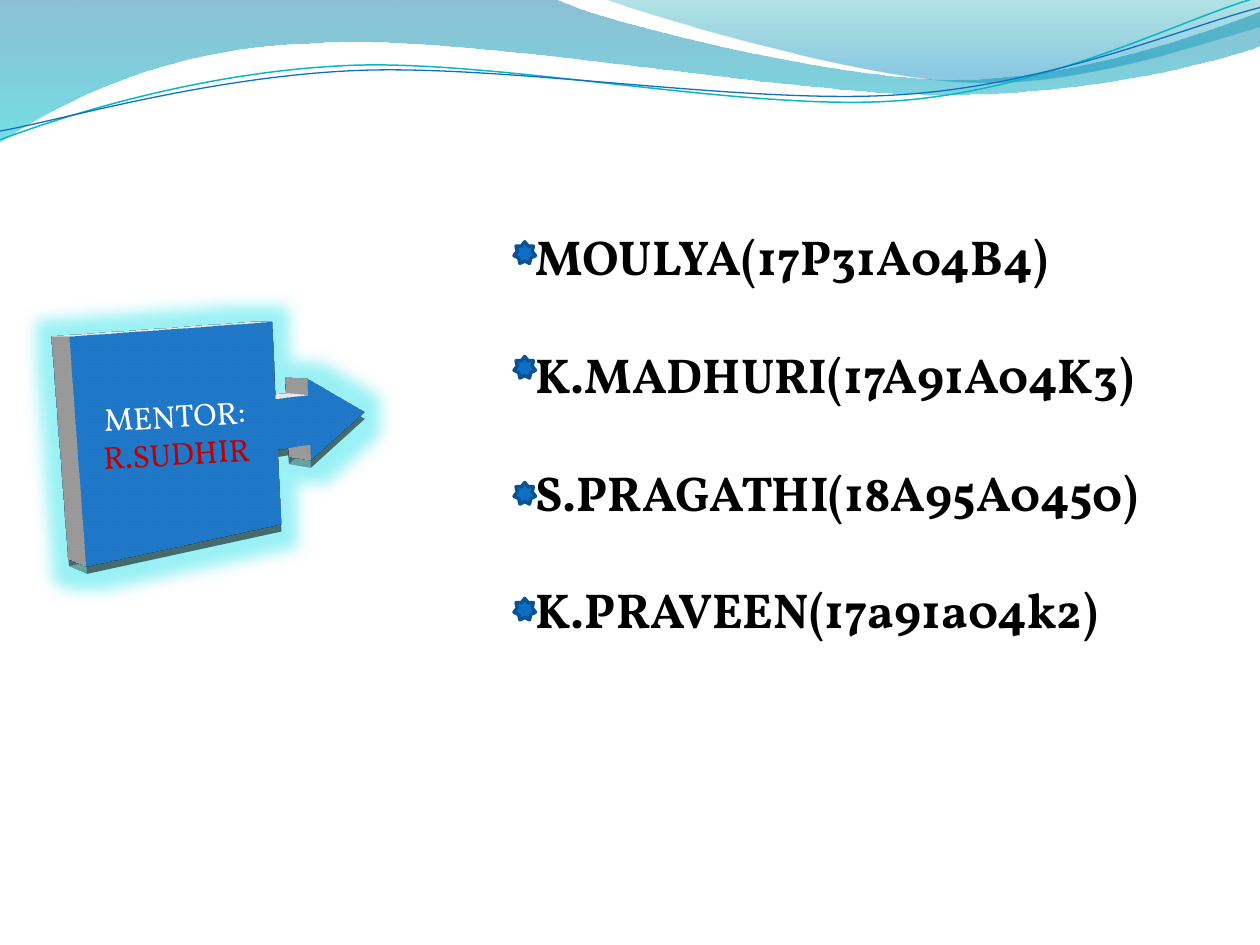
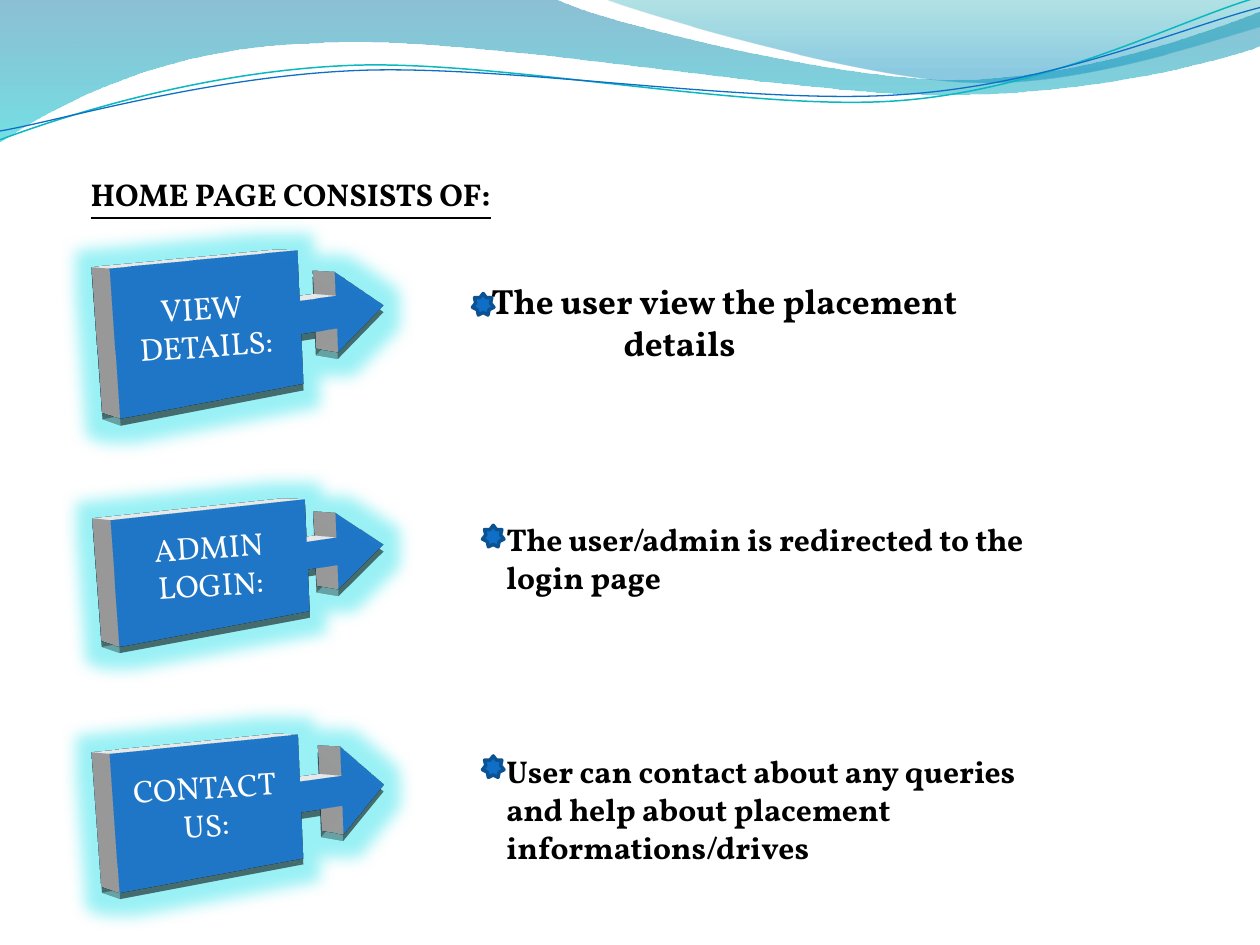
import pptx
import pptx.dml.color
import pptx.enum.shapes
import pptx.enum.text
import pptx.oxml
import pptx.oxml.ns
import pptx.util

Inches, Pt = pptx.util.Inches, pptx.util.Pt
Shape = pptx.enum.shapes.MSO_SHAPE
Align, Anchor = pptx.enum.text.PP_ALIGN, pptx.enum.text.MSO_ANCHOR
qn = pptx.oxml.ns.qn

FONT = "Vollkorn"
BLUE, NAVY, TEAL = "0F6FC6", "0B5292", "0AB8BF"
BLACK, WHITE, RED = "000000", "FFFFFF", "C00000"
GLOW = "00DCE6"
STAR = 0.17

# Wave outlines: a start, then line points (2 numbers) or curves (6 numbers)
BANDS = [
    ([(0, 0), (4.4, -0.01), (4.76, 0.17, 6.64, 0.63, 7.58, 0.63),
      (8.53, 0.63, 9.58, 0.26, 10, 0.09), (10.01, 0.36),
      (9.83, 0.44, 8.7, 0.76, 7.46, 0.75), (6.22, 0.75, 3.82, 0.28, 2.57, 0.34),
      (1.29, 0.36, 0.46, 0.83, -0.01, 1.13), (0, 0)],
     [(0, "0074A1", 45), (1, "00C6CF", 55)]),
    ([(4.79, -0.01), (5.09, 0.11, 6.82, 0.62, 7.69, 0.65),
      (8.56, 0.69, 9.61, 0.32, 10, 0.21), (10, 0), (4.79, -0.01)],
     [(0, "00A1A9", 30), (0.8, "008BBF", 45)]),
]
LINES = [
    ([(0, 1.11), (0.48, 0.93, 1.58, 0.57, 2.77, 0.52),
      (3.95, 0.47, 5.93, 0.89, 7.13, 0.8), (8.33, 0.71, 9.38, 0.15, 9.98, -0.02)],
     TEAL, 0.85),
    ([(0, 1.04), (0.47, 0.96, 1.64, 0.61, 2.83, 0.56),
      (4.03, 0.51, 5.97, 0.84, 7.17, 0.75), (8.36, 0.67, 9.41, 0.21, 10, 0.06)],
     BLUE, 0.75),
]

TEAM = ["MOULYA(17P31A04B4)", "K.MADHURI(17A91A04K3)",
        "S.PRAGATHI(18A95A0450)", "K.PRAVEEN(17a91a04k2)"]

# Callout box, its adjustments, label, star corner, text box, size, text, hang
PARTS = [
    ((0.79, 2.01, 2.58, 1.1), (0.25, 0.309, 0.48, 0.65), ["VIEW ", "DETAILS:"],
     (3.75, 2.33), (3.8, 2.17, 3.92, 0.77), 20,
     "The user view the placement details", 1.05),
    ((0.79, 4, 2.58, 0.92), (0.25, 0.35, 0.565, 0.678), ["ADMIN", "LOGIN:"],
     (3.83, 4.17), (3.92, 4.08, 4.42, 0.71), 18,
     "The user/admin is redirected to the login page", 0),
    ((0.79, 5.86, 2.58, 1.01), (0.25, 0.366, 0.467, 0.65), ["CONTACT US:"],
     (3.83, 6), (3.92, 5.92, 4.66, 1.01), 18,
     "User can contact about any queries and help about placement "
     "informations/drives", 0),
]


def rgb(code):
    return pptx.dml.color.RGBColor.from_string(code)


def put(item, **vals):
    for name, val in vals.items():
        setattr(item, name, val)


def place(shape, box):
    put(shape, **dict(zip(("left", "top", "width", "height"), map(Inches, box))))


def xml(text):
    head, tail = text.split(" ", 1)
    space = pptx.oxml.ns.nsdecls("a")
    return pptx.oxml.parse_xml(f"{head} {space} {tail}")


def write(shape, rows, size, color=BLACK, align=Align.LEFT, gap=0, left=0,
          hang=0, **font):
    """Fill a shape with rows of (text,) or (text, colour)."""
    frame = shape.text_frame
    put(frame, word_wrap=True, auto_size=pptx.enum.text.MSO_AUTO_SIZE.NONE)
    for i, (text, *tint) in enumerate(rows):
        par = frame.paragraphs[0] if i == 0 else frame.add_paragraph()
        put(par, alignment=align, space_before=Pt(0), space_after=Pt(gap),
            line_spacing=1.0)
        props = par._p.get_or_add_pPr()
        props.set("marL", str(Inches(left + hang)))
        props.set("indent", str(-Inches(hang)))
        props.append(xml("<a:buNone />"))
        run = par.add_run()
        run.text = text
        put(run.font, name=FONT, size=Pt(size), **font)
        run.font.color.rgb = rgb(tint[0] if tint else color)


# Shared wave bands on the master
def outline(slide, route):
    """Draw the route through all its points, then bend the curved parts."""
    spots = [(Inches(seg[k]), Inches(seg[k + 1]))
             for seg in route for k in range(0, len(seg), 2)]
    pen = slide.shapes.build_freeform(*spots[0], scale=1.0)
    pen.add_line_segments(spots[1:], close=False)
    shape = pen.convert_to_shape()
    shape.shadow.inherit = False
    steps = iter(list(shape.element.iter(qn("a:lnTo"))))
    for seg in route[1:]:
        step = next(steps)
        if len(seg) == 6:
            curve = xml("<a:cubicBezTo />")
            step.addprevious(curve)
            for old in (step, next(steps), next(steps)):
                curve.append(old[0])
                old.getparent().remove(old)
    return shape


def shade(shape, stops):
    shape.line.fill.background()
    shape.fill.gradient()
    shape.fill.gradient_angle = 270
    for stop, (spot, code, alpha) in zip(shape.fill.gradient_stops, stops):
        stop.position = spot
        stop.color.rgb = rgb(code)
    grad = shape.element.spPr.find(qn("a:gradFill"))
    for color, (_, _, alpha) in zip(grad.iter(qn("a:srgbClr")), stops):
        color.append(xml(f'<a:alpha val="{alpha * 1000}"/>'))


def waves(deck, slide):
    made = []
    for route, stops in BANDS:
        made.append(outline(slide, route))
        shade(made[-1], stops)
    for route, code, width in LINES:
        made.append(outline(slide, route))
        made[-1].fill.background()
        made[-1].line.color.rgb = rgb(code)
        made[-1].line.width = Pt(width)
    tree = deck.slide_master.shapes.element
    for i, shape in enumerate(made):
        shape.element.nvSpPr.cNvPr.set("id", str(20 + i))
        tree.insert(2 + i, shape.element)


# Slide parts
def callout(slide, box, adjust, rows):
    shape = slide.shapes.add_shape(Shape.RIGHT_ARROW_CALLOUT, *map(Inches, box))
    for i, val in enumerate(adjust):
        shape.adjustments[i] = val
    shape.fill.solid()
    shape.fill.fore_color.rgb = rgb(BLUE)
    shape.line.fill.background()
    shape.shadow.inherit = False
    props = shape.element.spPr
    effects = props.find(qn("a:effectLst"))
    effects.append(xml(
        f'<a:glow rad="{Pt(18)}"><a:srgbClr val="{GLOW}"><a:alpha val="40000"/>'
        '</a:srgbClr></a:glow>'))
    effects.append(xml(
        f'<a:outerShdw blurRad="{Pt(17.8)}" dist="{Pt(4)}" dir="5220000">'
        f'<a:srgbClr val="{BLACK}"><a:alpha val="33000"/></a:srgbClr>'
        '</a:outerShdw>'))
    props.append(xml(
        '<a:scene3d ><a:camera prst="perspectiveHeroicExtremeRightFacing"/>'
        '<a:lightRig rig="soft" dir="t"/></a:scene3d>'))
    props.append(xml(
        f'<a:sp3d extrusionH="{Inches(0.3)}"><a:extrusionClr>'
        f'<a:srgbClr val="{WHITE}"/></a:extrusionClr></a:sp3d>'))
    shape.text_frame.vertical_anchor = Anchor.MIDDLE
    write(shape, rows, 18, WHITE, Align.CENTER)


def star(slide, left, top):
    shape = slide.shapes.add_shape(
        Shape.STAR_7_POINT, *map(Inches, (left, top, STAR, STAR)))
    shape.shadow.inherit = False
    shape.fill.solid()
    shape.fill.fore_color.rgb = rgb(BLUE)
    shape.line.color.rgb = rgb(NAVY)
    shape.line.width = Pt(2)


# Slide types
def team(slide):
    slide.shapes.title.element.getparent().remove(slide.shapes.title.element)
    callout(slide, (0.5, 2.58, 2.75, 1.67), (0.25, 0.207, 0.373, 0.65),
            [("MENTOR:",), ("R.SUDHIR", RED)])
    body = slide.placeholders[1]
    place(body, (4, 1.75, 5.67, 3.4))
    body.text_frame.vertical_anchor = Anchor.TOP
    write(body, [(name,) for name in TEAM], 28, gap=33.6, left=0.15, bold=True)
    for top in (1.92, 2.83, 3.83, 4.75):
        star(slide, 4.08, top)


def home(slide):
    title = slide.shapes.title
    place(title, (0.62, 1.34, 5.01, 0.4))
    title.text_frame.vertical_anchor = Anchor.TOP
    write(title, [("HOME PAGE CONSISTS OF:",)], 18, bold=True, underline=True)
    for box, adjust, label, spot, area, size, text, hang in PARTS:
        callout(slide, box, adjust, [(line,) for line in label])
        note = slide.shapes.add_textbox(*map(Inches, area))
        write(note, [(text,)], size, hang=hang, bold=True)
        star(slide, *spot)


def main():
    deck = pptx.Presentation()
    put(deck, slide_width=Inches(10), slide_height=Inches(7.5))
    first = deck.slides.add_slide(deck.slide_layouts[1])
    waves(deck, first)
    team(first)
    home(deck.slides.add_slide(deck.slide_layouts[5]))
    deck.save("out.pptx")


if __name__ == "__main__":
    main()
